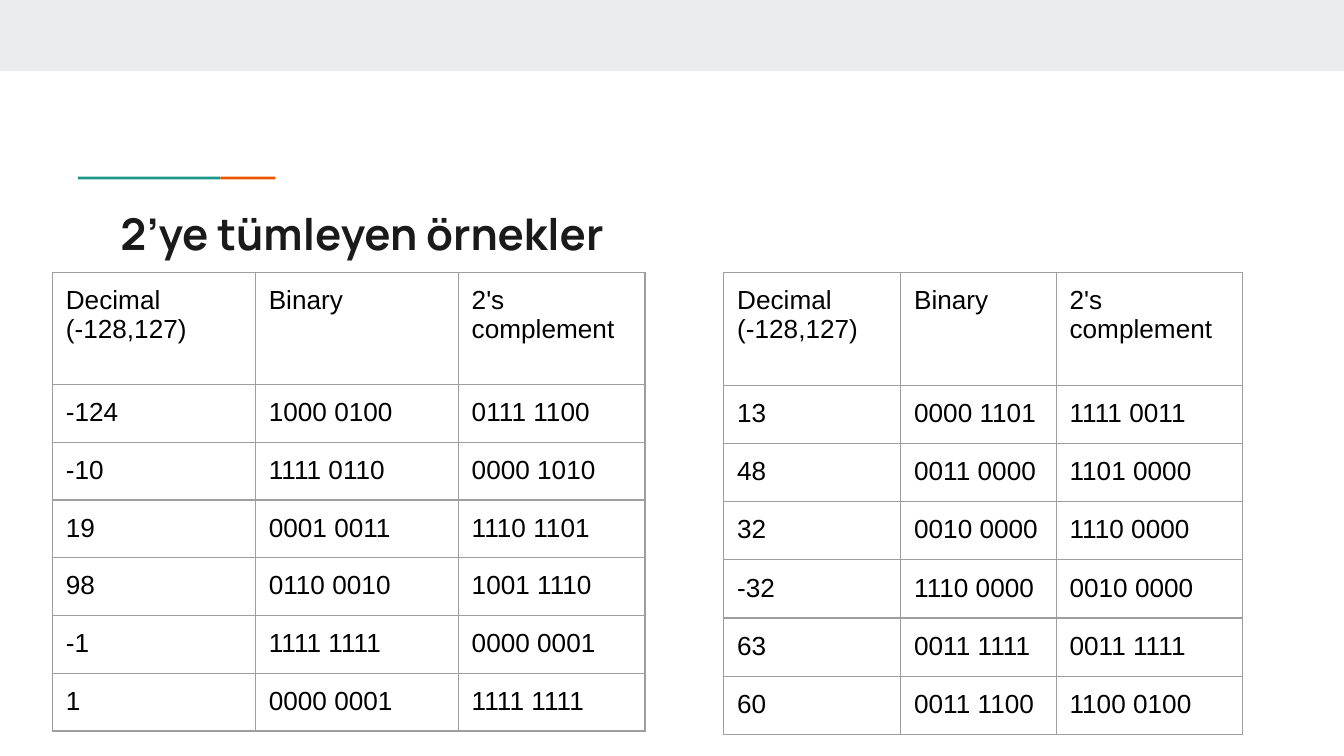
from lxml import etree
from pptx import Presentation
from pptx import util as u
from pptx.dml.color import RGBColor
from pptx.enum import shapes, text
from pptx.oxml import ns

BAND = RGBColor(0xE9, 0xED, 0xEE)
TEAL = RGBColor(0x1A, 0x99, 0x88)
RUST = RGBColor(0xEB, 0x56, 0x00)
INK = RGBColor(0x1A, 0x1A, 0x1A)
BLACK = RGBColor(0, 0, 0)
RULE = RGBColor(0x9E, 0x9E, 0x9E)

WIDE = u.Inches(10)
HIGH = WIDE * 9 // 16
UNIT = WIDE // 100
PAD = u.Inches(0.1)

HEAD = ("Decimal\n(-128,127)", "Binary", "2's complement")
LEFT = (
    ("-124", "1000 0100", "0111 1100"),
    ("-10", "1111 0110", "0000 1010"),
    ("19", "0001 0011", "1110 1101"),
    ("98", "0110 0010", "1001 1110"),
    ("-1", "1111 1111", "0000 0001"),
    ("1", "0000 0001", "1111 1111"),
)
RIGHT = (
    ("13", "0000 1101", "1111 0011"),
    ("48", "0011 0000", "1101 0000"),
    ("32", "0010 0000", "1110 0000"),
    ("-32", "1110 0000", "0010 0000"),
    ("63", "0011 1111", "0011 1111"),
    ("60", "0011 1100", "1100 0100"),
)


def grid(*cells):
    """Turn a box in hundredths of the slide width into lengths."""
    return [round(c * UNIT) for c in cells]


def split(size, parts):
    """Share a length out by weight."""
    return [round(size * p / sum(parts)) for p in parts]


def pad(area):
    """Give a cell or frame even margins."""
    area.margin_left = area.margin_right = PAD
    area.margin_top = area.margin_bottom = PAD


def style(frame, font, size, color, bold=False):
    """Format every run of a text frame."""
    for para in frame.paragraphs:
        para.alignment = text.PP_ALIGN.LEFT
        for run in para.runs:
            run.font.name, run.font.size = font, u.Pt(size)
            run.font.color.rgb, run.font.bold = color, bold


def block(slide, box, color):
    """Draw a plain filled rectangle."""
    bar = slide.shapes.add_shape(shapes.MSO_SHAPE.RECTANGLE, *box)
    bar.shadow.inherit = False
    bar.fill.solid()
    bar.fill.fore_color.rgb = color
    bar.line.fill.background()


def accent(slide, box):
    """Draw the two-colour rule over the title."""
    left, top, width, height = box
    teal, rust = split(width, (106, 41))
    block(slide, (left, top, teal, height), TEAL)
    block(slide, (left + teal, top, rust, height), RUST)


def title(slide, box, words):
    """Place and format the title."""
    head = slide.shapes.title
    head.left, head.top, head.width, head.height = box
    frame = head.text_frame
    frame.text = words
    frame.word_wrap = True
    frame.auto_size = text.MSO_AUTO_SIZE.NONE
    frame.vertical_anchor = text.MSO_ANCHOR.TOP
    pad(frame)
    style(frame, "Manrope", 23.4, INK, True)


def border(cell):
    """Rule all four sides of a cell."""
    props = cell._tc.get_or_add_tcPr()
    for spot, side in enumerate(("lnL", "lnR", "lnT", "lnB")):
        line = etree.Element(ns.qn("a:" + side), w=str(u.Pt(0.75)))
        fill = etree.SubElement(line, ns.qn("a:solidFill"))
        etree.SubElement(fill, ns.qn("a:srgbClr"), val=str(RULE))
        props.insert(spot, line)


def table(slide, box, cols, body):
    """Fill a box with a ruled table under the shared heading."""
    rows = (HEAD, *body)
    sheet = slide.shapes.add_table(len(rows), len(cols), *box).table
    sheet.first_row = sheet.horz_banding = False
    for col, width in zip(sheet.columns, split(box[2], cols)):
        col.width = width
    tall = split(box[3], (83.5,) + (43,) * len(body))
    for row, height, words in zip(sheet.rows, tall, rows):
        row.height = height
        for cell, word in zip(row.cells, words):
            cell.text_frame.text = word
            cell.fill.background()
            pad(cell)
            border(cell)
            style(cell.text_frame, "Arial", 14, BLACK)


def main():
    """Build and save the slide."""
    deck = Presentation()
    deck.slide_width, deck.slide_height = WIDE, HIGH
    slide = deck.slides.add_slide(deck.slide_layouts[5])
    block(slide, grid(0, 0, 100, 5.3), BAND)
    accent(slide, grid(5.8, 13.15, 14.7, 0.2))
    title(slide, grid(7.95, 14.4, 84.1, 5.9), "2’ye tümleyen örnekler")
    table(slide, grid(3.9, 20.25, 44.1, 34.15), (151, 151, 139), LEFT)
    table(slide, grid(53.85, 20.25, 38.6, 34.4), (132, 116, 139), RIGHT)
    deck.save("out.pptx")


if __name__ == "__main__":
    main()
